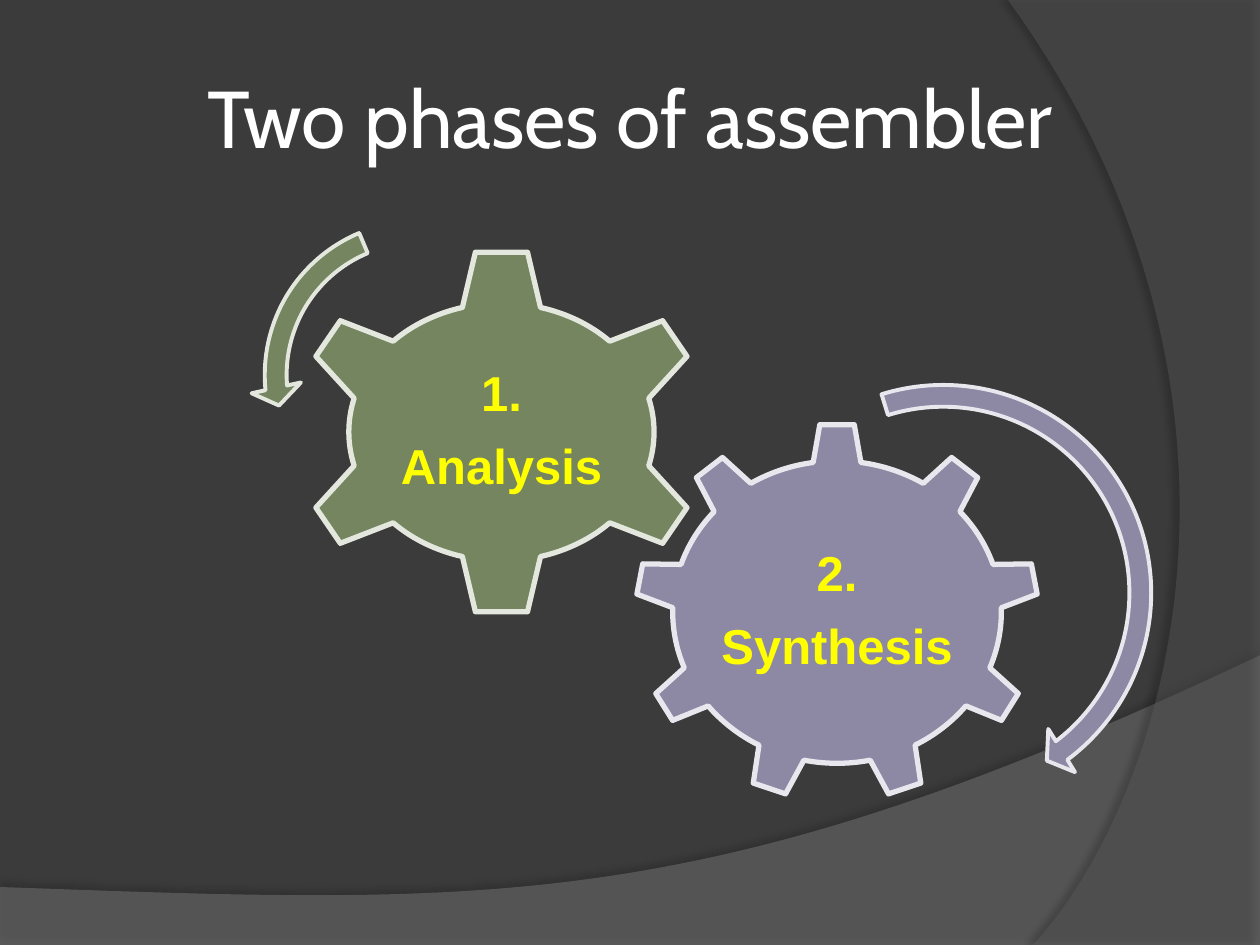
from lxml.etree import SubElement
from pptx import Presentation
from pptx.dml.color import RGBColor
from pptx.enum.shapes import MSO_SHAPE
from pptx.enum.text import MSO_ANCHOR, PP_ALIGN
from pptx.oxml.ns import qn
from pptx.util import Cm, Pt

WIDTH, HEIGHT = 25.4, 19.05


def color(hex_string):
    """Turn a hex string into a colour."""
    return RGBColor.from_string(hex_string)


def bezier(start, first, second, end, steps=60):
    """Return points along a cubic curve, without its start."""
    points = []
    for step in range(1, steps + 1):
        t = step / steps
        weights = ((1 - t) ** 3, 3 * t * (1 - t) ** 2, 3 * t ** 2 * (1 - t), t ** 3)
        points.append(tuple(sum(w * p[axis] for w, p in zip(weights, (start, first, second, end)))
                            for axis in (0, 1)))
    return points


def add_shadow(shape, alpha, blur, distance, angle):
    """Give a shape a soft black outer shadow."""
    effects = SubElement(shape.element.spPr, qn("a:effectLst"))
    outer = SubElement(effects, qn("a:outerShdw"), blurRad=str(Pt(blur)), dist=str(Pt(distance)),
                       dir=str(angle * 60000), algn="ctr", rotWithShape="0")
    black = SubElement(outer, qn("a:srgbClr"), val="000000")
    SubElement(black, qn("a:alpha"), val=str(alpha * 1000))


def add_band(slide, box, corners, controls, end, fill, opacity, shadow):
    """Draw a translucent band whose last side is a curve."""
    left, top, width, height = box
    points = [*corners, *bezier(corners[-1], *controls, end)]
    points = [(Cm(left + x * width), Cm(top + y * height)) for x, y in points]
    builder = slide.shapes.build_freeform(*points[0])
    builder.add_line_segments(points[1:], close=True)
    band = builder.convert_to_shape()
    band.fill.solid()
    band.fill.fore_color.rgb = color(fill)
    tint = band.element.spPr.find(qn("a:solidFill"))[0]
    SubElement(tint, qn("a:alpha"), val=str(opacity * 1000))
    band.line.fill.background()
    add_shadow(band, *shadow)


def add_background(slide, box):
    """Draw the dark ground with its two curved bands."""
    left, top, width, height = box
    slide.background.fill.solid()
    slide.background.fill.fore_color.rgb = color("3B3B3B")
    add_band(slide, (left, top + 13.21, width, height - 13.21),
             [(0, 0.8), (0, 1), (1, 1), (1, 0)], [(0.56, 0.91), (0.39, 0.86)], (0, 0.8),
             "7F7F7F", 45, (35, 4, 3.5, 270))
    add_band(slide, (left + 20.32, top, width - 20.32, height),
             [(1, 0), (1, 1), (0.1, 1)], [(0.68, 0.83), (1.09, 0.4)], (0, 0),
             "5E5E5E", 40, (45, 4, 4, 180))


def add_text(slide, box, text, font_name, size, font_color, margin, bold=False):
    """Place centred text and return its paragraphs."""
    text_box = slide.shapes.add_textbox(*map(Cm, box))
    frame = text_box.text_frame
    frame.word_wrap = True
    frame.vertical_anchor = MSO_ANCHOR.MIDDLE
    frame.margin_left = frame.margin_right = frame.margin_top = frame.margin_bottom = Cm(margin)
    frame.text = text
    for paragraph in frame.paragraphs:
        paragraph.alignment = PP_ALIGN.CENTER
        font = paragraph.runs[0].font
        font.name, font.size, font.bold = font_name, Pt(size), bold
        font.color.rgb = color(font_color)
    return frame.paragraphs


def add_part(slide, preset, box, fill, outline, line_width):
    """Draw one outlined preset shape."""
    part = slide.shapes.add_shape(preset, *map(Cm, box))
    part.shadow.inherit = False
    part.fill.solid()
    part.fill.fore_color.rgb = color(fill)
    part.line.color.rgb = color(outline)
    part.line.width = Pt(line_width)
    return part


def add_phase(slide, box, gear, label, inset, arrow, arrow_box, angles, fill, outline):
    """Draw a labelled gear and the arrow showing its rotation."""
    left, top, width, height = box
    inset_x, inset_y = inset
    arrow_x, arrow_y, arrow_size = arrow_box
    add_part(slide, gear, box, fill, outline, 3)
    label_box = (left + inset_x, top + inset_y, width - 2 * inset_x, height - 2 * inset_y)
    for paragraph in add_text(slide, label_box, label, "Arial", 28, "FFFF00", 0.1, bold=True):
        paragraph.line_spacing = 0.9
        paragraph.space_after = Pt(11)
    rotation = add_part(slide, arrow, (left + arrow_x, top + arrow_y, arrow_size, arrow_size),
                        fill, outline, 2.25)
    for index, value in enumerate(angles):
        rotation.adjustments[index] = value


def main():
    """Build the slide and save it."""
    presentation = Presentation()
    presentation.slide_width, presentation.slide_height = Cm(WIDTH), Cm(HEIGHT)
    slide = presentation.slides.add_slide(presentation.slide_layouts[6])
    add_background(slide, (0, 0, WIDTH, HEIGHT))
    add_text(slide, (1.27, 0.76, 22.86, 3.18), "Two phases of assembler", "Cabin", 46, "FFFFFF", 0.13)
    add_phase(slide, (12.8, 8.53, 8.15, 7.62), MSO_SHAPE.GEAR_9, "2.\nSynthesis", (1.6, 1.85),
              MSO_SHAPE.CIRCULAR_ARROW, (1.73, -1.06, 8.97),
              (0.049, 3.13, 31.84, 151.66, 0.057), "8D89A4", "E8E7ED")
    add_phase(slide, (5.92, 5, 8.38, 7.42), MSO_SHAPE.GEAR_6, "1.\nAnalysis", (2, 1.88),
              MSO_SHAPE.LEFT_CIRCULAR_ARROW, (-0.87, -0.83, 6.78),
              (0.065, 4.3, 104.89, 148.38, 0.075), "748560", "E3E7DE")
    presentation.save("out.pptx")


if __name__ == "__main__":
    main()
